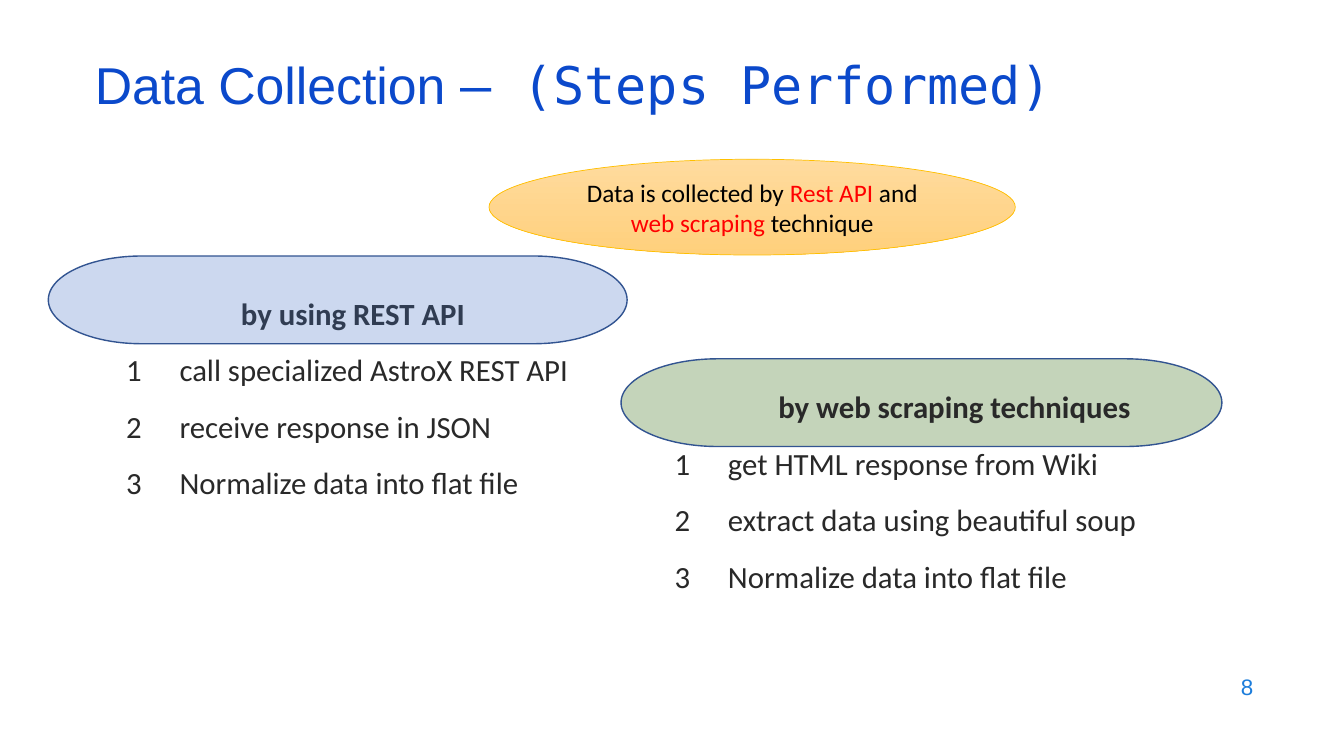
from lxml.etree import SubElement
from pptx import Presentation
from pptx.dml.color import RGBColor
from pptx.enum.shapes import MSO_SHAPE
from pptx.enum.text import MSO_ANCHOR, MSO_AUTO_SIZE, PP_ALIGN
from pptx.oxml.ns import qn
from pptx.util import Inches, Pt

# Content
TITLE = [("Data Collection ", "title"), ("– (Steps Performed)", "code")]
NOTE = [("Data is collected by ", "note"), ("Rest API ", "mark"), ("and ", "note"),
        ("web scraping ", "mark"), ("technique", "note")]
PATHS = [
    {"head": "by using REST API",
     "steps": ["call specialized AstroX REST API", "receive response in JSON",
               "Normalize data into flat file"],
     "text": (0.84, 2.87, 5.32, 2.95), "pill": (0.48, 2.54, 5.74, 0.87),
     "fill": "blue", "alpha": 27, "front": False},
    {"head": "by web scraping techniques",
     "steps": ["get HTML response from Wiki", "extract data using beautiful soup",
               "Normalize data into flat file"],
     "text": (6.28, 3.8, 6.37, 3.7), "pill": (6.16, 3.56, 5.96, 0.87),
     "fill": "green", "alpha": 34, "front": True},
]
PAGE = "8"

# Formats
HUES = {"title": "0B49CB", "page": "1C7DDB", "ink": "292929", "black": "000000",
        "red": "FF0000", "blue": "4472C4", "green": "548235", "edge": "325491",
        "gold": "FFC000", "light": "FFDB9E", "dark": "FFD07C"}
FONTS = {
    "title": {"name": "Arial", "size": Pt(37), "bold": False, "hue": "title"},
    "code": {"name": "DejaVu Sans Mono", "size": Pt(37), "bold": False, "hue": "title"},
    "page": {"name": "Arial", "size": Pt(16), "bold": False, "hue": "page"},
    "head": {"name": "Calibri", "size": Pt(22), "bold": True, "hue": "ink"},
    "step": {"name": "Calibri", "size": Pt(22), "bold": False, "hue": "ink"},
    "note": {"name": "Calibri", "size": Pt(18), "bold": False, "hue": "black"},
    "mark": {"name": "Calibri", "size": Pt(18), "bold": False, "hue": "red"},
}
FRAME = {"word_wrap": True, "auto_size": MSO_AUTO_SIZE.NONE}


def tint(name):
    return RGBColor.from_string(HUES[name])


def place(shape, box):
    for key, val in zip(("left", "top", "width", "height"), box):
        setattr(shape, key, Inches(val))


def frame(shape, anchor):
    for key, val in {**FRAME, "vertical_anchor": anchor}.items():
        setattr(shape.text_frame, key, val)
    return shape.text_frame


def write(para, parts, **form):
    for key, val in form.items():
        setattr(para, key, val)
    for text, kind in parts:
        run = para.add_run()
        run.text = text
        for key, val in FONTS[kind].items():
            if key == "hue":
                run.font.color.rgb = tint(val)
            else:
                setattr(run.font, key, val)


def mark(para, tag, left=0, hang=0, **attrs):
    props = para._p.get_or_add_pPr()
    props.set("marL", str(Inches(left)))
    props.set("indent", str(Inches(-hang)))
    SubElement(props, qn(tag), attrs)


def draw(kind, box, edge, width):
    shape = slide.shapes.add_shape(kind, *map(Inches, box))
    shape.shadow.inherit = False
    shape.line.color.rgb = tint(edge)
    shape.line.width = Pt(width)
    return shape


deck = Presentation()
deck.slide_width, deck.slide_height = Inches(13.33), Inches(7.5)
slide = deck.slides.add_slide(deck.slide_layouts[3])
title, *bodies = slide.placeholders

# Title
place(title, (0.84, 0.59, 11.5, 0.6))
write(frame(title, MSO_ANCHOR.MIDDLE).paragraphs[0], TITLE,
      alignment=PP_ALIGN.LEFT, line_spacing=0.8)

# Two ways of collecting: a pill and a numbered list each
for body, way in zip(bodies, PATHS):
    pill = draw(MSO_SHAPE.FLOWCHART_TERMINATOR, way["pill"], "edge", 1)
    pill.fill.solid()
    pill.fill.fore_color.rgb = tint(way["fill"])
    shade = pill._element.spPr.find(qn("a:solidFill"))[0]
    SubElement(shade, qn("a:alpha"), val=str(way["alpha"] * 1000))

    place(body, way["text"])
    text = frame(body, MSO_ANCHOR.TOP)
    head = text.paragraphs[0]
    mark(head, "a:buNone")
    write(head, [(way["head"], "head")], alignment=PP_ALIGN.CENTER, space_before=Pt(0))
    for step in way["steps"]:
        para = text.add_paragraph()
        mark(para, "a:buAutoNum", 0.84, 0.53, type="arabicPlain")
        write(para, [(step, "step")], alignment=PP_ALIGN.LEFT, space_before=Pt(14))
    if way["front"]:
        pill._element.addnext(body._element)

# Summary ellipse
note = draw(MSO_SHAPE.OVAL, (4.85, 1.58, 5.22, 0.95), "gold", 0.5)
note.fill.gradient()
note.fill.gradient_angle = 270
for stop, hue, spot in zip(note.fill.gradient_stops, ("light", "dark"), (0, 1)):
    stop.color.rgb = tint(hue)
    stop.position = spot
write(frame(note, MSO_ANCHOR.MIDDLE).paragraphs[0], NOTE, alignment=PP_ALIGN.CENTER)

# Page number
page = slide.shapes.add_textbox(*map(Inches, (9.53, 6.59, 3, 0.44)))
write(frame(page, MSO_ANCHOR.MIDDLE).paragraphs[0], [(PAGE, "page")],
      alignment=PP_ALIGN.RIGHT)

deck.save("out.pptx")
